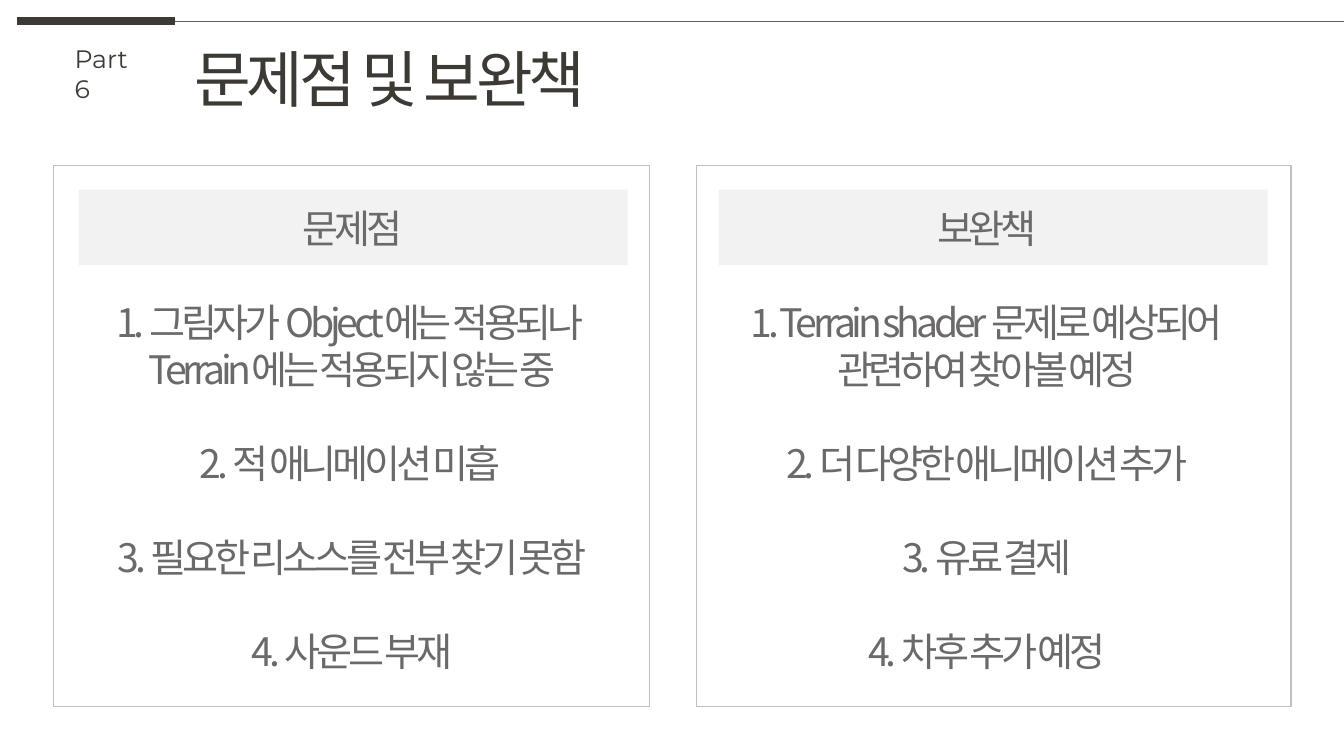
from lxml.etree import SubElement
from pptx import Presentation
from pptx.dml.color import RGBColor
from pptx.enum.shapes import MSO_CONNECTOR, MSO_SHAPE
from pptx.enum.text import PP_ALIGN
from pptx.oxml.ns import qn
from pptx.util import Cm, Pt

# Content: each item is a list of lines
TITLE = "문제점 및 보완책"
PART = "Part 6"
CARDS = [
    {"left": 1.35, "width": 15.02, "band": 1.98, "text": 2.11, "text_width": 13.54,
     "items": [["문제점"],
               ["1. 그림자가 Object에는 적용되나 ", "Terrain에는 적용되지 않는 중"],
               ["2. 적 애니메이션 미흡 "],
               ["3. 필요한 리소스를 전부 찾기 못함"],
               ["4. 사운드 부재"]]},
    {"left": 17.55, "width": 14.99, "band": 18.11, "text": 18.42, "text_width": 12.9,
     "items": [["보완책"],
               ["1. Terrain shader 문제로 예상되어", "관련하여 찾아볼 예정"],
               ["2. 더 다양한 애니메이션 추가"],
               ["3. 유료 결제"],
               ["4. 차후 추가 예정"]]},
]

# Style
DARK, GREY = "3D3A35", "6C6969"
LATIN, KOREAN = "Montserrat", "Noto Sans CJK KR"
LINE_PITCH = Pt(33.6)


def color(value):
    return RGBColor.from_string(value)


def add_rule(slide, start, end, line_color, weight):
    rule = slide.shapes.add_connector(
        MSO_CONNECTOR.STRAIGHT, Cm(start), Cm(0.53), Cm(end), Cm(0.53))
    rule.line.color.rgb = color(line_color)
    rule.line.width = Pt(weight)
    SubElement(rule.element.spPr, qn("a:effectLst"))


def add_rectangle(slide, left, top, width, height, fill, outline=None):
    shape = slide.shapes.add_shape(
        MSO_SHAPE.RECTANGLE, Cm(left), Cm(top), Cm(width), Cm(height))
    shape.shadow.inherit = False
    shape.fill.solid()
    shape.fill.fore_color.rgb = color(fill)
    if outline:
        shape.line.color.rgb = color(outline)
        shape.line.width = Pt(1)
    else:
        shape.line.fill.background()


def add_text_frame(slide, left, top, width, height, wrap=False):
    box = slide.shapes.add_textbox(Cm(left), Cm(top), Cm(width), Cm(height))
    box.text_frame.word_wrap = wrap
    return box.text_frame


def add_run(paragraph, text, size, font, text_color, spacing=0):
    run = paragraph.add_run()
    run.text = text
    run.font.size = Pt(size)
    run.font.name = font
    run.font.color.rgb = color(text_color)
    properties = run.font._element
    if spacing:
        properties.set("spc", str(spacing * 100))
    SubElement(properties, qn("a:ea")).set("typeface", KOREAN)


def add_card(slide, card):
    add_rectangle(slide, card["left"], 4.17, card["width"], 13.64, "FFFFFF", "BFBFBF")
    add_rectangle(slide, card["band"], 4.78, 13.84, 1.9, "F2F2F2")
    frame = add_text_frame(slide, card["text"], 5.03, card["text_width"], 12.09)
    paragraph = None
    for item in card["items"]:
        for index, line in enumerate(item):
            first = paragraph is None
            paragraph = frame.paragraphs[0] if first else frame.add_paragraph()
            paragraph.alignment = PP_ALIGN.CENTER
            paragraph.line_spacing = LINE_PITCH
            # One free line ahead of every item after the heading
            paragraph.space_before = LINE_PITCH if index == 0 and not first else Pt(0)
            add_run(paragraph, line, 28, KOREAN, GREY, -3)


def main():
    presentation = Presentation()
    presentation.slide_width, presentation.slide_height = Cm(33.87), Cm(19.05)
    slide = presentation.slides.add_slide(presentation.slide_layouts[6])

    # Header
    add_rule(slide, 0.43, 4.42, DARK, 6)
    add_rule(slide, 4.42, 33.87, "5F5F5D", 0.5)
    title = add_text_frame(slide, 4.65, 0.91, 11.56, 2.13)
    add_run(title.paragraphs[0], TITLE, 44, LATIN, DARK, -3)
    part = add_text_frame(slide, 1.63, 0.97, 2.29, 1.02, wrap=True)
    add_run(part.paragraphs[0], PART, 18, LATIN, DARK)

    # Problem and remedy cards
    for card in CARDS:
        add_card(slide, card)

    presentation.save("out.pptx")


if __name__ == "__main__":
    main()
